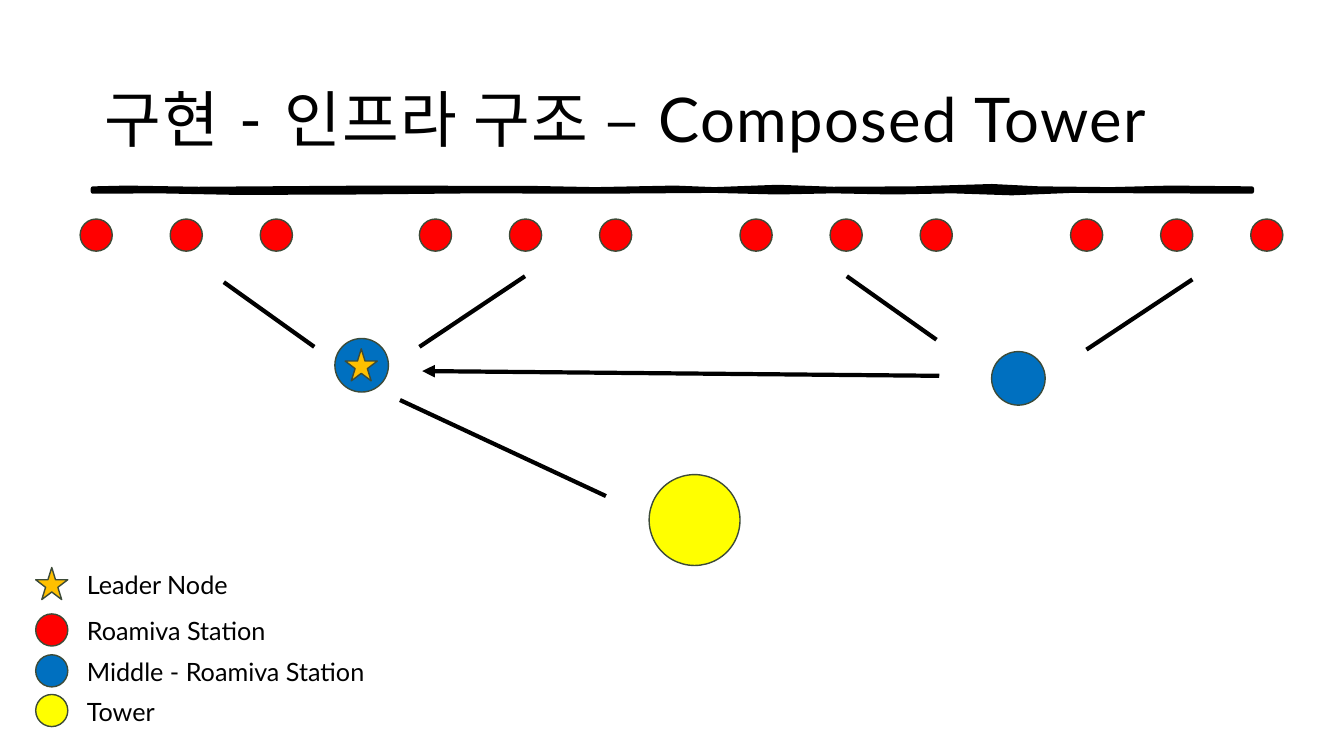
from lxml import etree
from pptx import Presentation
from pptx.dml.color import RGBColor
from pptx.enum import shapes as es, text as et
from pptx.oxml.ns import qn
from pptx.util import Cm, Pt

BLACK = RGBColor(0x00, 0x00, 0x00)
RED = RGBColor(0xFF, 0x00, 0x00)
BLUE = RGBColor(0x00, 0x70, 0xC0)
YELLOW = RGBColor(0xFF, 0xFF, 0x00)
GOLD = RGBColor(0xFF, 0xC0, 0x00)
EDGE = RGBColor(0x3D, 0x4B, 0x38)
OVAL = es.MSO_SHAPE.OVAL
STAR = es.MSO_SHAPE.STAR_5_POINT
DOT = 0.81

deck = Presentation()
deck.slide_width, deck.slide_height = Cm(33.87), Cm(19.05)
slide = deck.slides.add_slide(deck.slide_layouts[6])


def mark(kind, left, top, size, fill):
    node = slide.shapes.add_shape(kind, Cm(left), Cm(top), Cm(size), Cm(size))
    node.shadow.inherit = False
    node.fill.solid()
    node.fill.fore_color.rgb = fill
    node.line.color.rgb = EDGE
    node.line.width = Pt(1)


def write(para, words, size):
    run = para.add_run()
    run.text = words
    run.font.name = "Lato"
    run.font.size = Pt(size)
    run.font.color.rgb = BLACK
    return run


upper = [(2.34, 4.75), (3.2, 4.73), (5, 4.76), (9.4, 4.73), (13.5, 4.74), (15, 4.77),
         (17, 4.73), (18, 4.77), (19.6, 4.71), (21, 4.76), (23, 4.75), (25, 4.69),
         (26.2, 4.75), (28, 4.77), (29.5, 4.73), (31.55, 4.75)]
lower = [(31.55, 4.83), (29, 4.82), (27, 4.81), (25.5, 4.87), (24, 4.82), (22.5, 4.85),
         (21, 4.82), (19.6, 4.85), (18, 4.81), (15, 4.83), (12, 4.82), (9, 4.85),
         (6, 4.86), (4, 4.82), (2.34, 4.83)]
first, *rest = [(Cm(x), Cm(y)) for x, y in upper + lower]
stroke = slide.shapes.build_freeform(*first)
stroke.add_line_segments(rest, close=True)
rule = stroke.convert_to_shape()
rule.shadow.inherit = False
rule.fill.solid()
rule.fill.fore_color.rgb = BLACK
rule.line.color.rgb = BLACK
rule.line.width = Pt(3)

title = slide.shapes.add_textbox(Cm(2.34), Cm(1.02), Cm(29.2), Cm(3.68))
frame = title.text_frame
frame.word_wrap = True
frame.vertical_anchor = et.MSO_ANCHOR.MIDDLE
frame.margin_left = frame.margin_right = frame.margin_top = Cm(0.3)
frame.margin_bottom = Cm(0.25)
para = frame.paragraphs[0]
para.line_spacing = 1.1
for words in ("구현", " ", "-", " ", "인프라 구조 –", " ", "Composed Tower"):
    run = write(para, words, 44)
    run.font._element.set("spc", "350" if words == " " else "100")

for left in (2.02, 10.57, 18.65, 26.98):
    for col in range(3):
        mark(OVAL, left + col * 2.27, 5.52, DOT, RED)

mark(OVAL, 8.44, 8.53, 1.35, BLUE)
mark(OVAL, 24.99, 8.86, 1.35, BLUE)
mark(OVAL, 16.36, 11.96, 2.29, YELLOW)
mark(STAR, 8.7, 8.79, DOT, GOLD)

legend = [
    (STAR, GOLD, 14.3, 4.22, "Leader Node"),
    (OVAL, RED, 15.47, 5.11, "Roamiva Station"),
    (OVAL, BLUE, 16.5, 7.59, "Middle - Roamiva Station"),
    (OVAL, YELLOW, 17.5, 2.34, "Tower"),
]
for kind, fill, top, width, words in legend:
    mark(kind, 0.9, top, DOT, fill)
    label = slide.shapes.add_textbox(Cm(1.94), Cm(top - 0.09), Cm(width), Cm(1.02))
    label.text_frame.word_wrap = False
    write(label.text_frame.paragraphs[0], words, 18)

links = [
    (5.64, 7.11, 7.92, 8.74, False),
    (13.23, 6.96, 10.57, 8.74, False),
    (21.34, 6.96, 23.6, 8.56, False),
    (30.05, 7.04, 27.38, 8.81, False),
    (15.27, 12.5, 10.08, 10.08, False),
    (23.67, 9.47, 10.64, 9.35, True),
]
for x1, y1, x2, y2, arrow in links:
    link = slide.shapes.add_connector(
        es.MSO_CONNECTOR.STRAIGHT, Cm(x1), Cm(y1), Cm(x2), Cm(y2))
    link.line.color.rgb = BLACK
    link.line.width = Pt(3)
    props = link._element.spPr
    if arrow:
        etree.SubElement(props.find(qn("a:ln")), qn("a:tailEnd"), type="triangle")
    etree.SubElement(props, qn("a:effectLst"))

deck.save("out.pptx")
